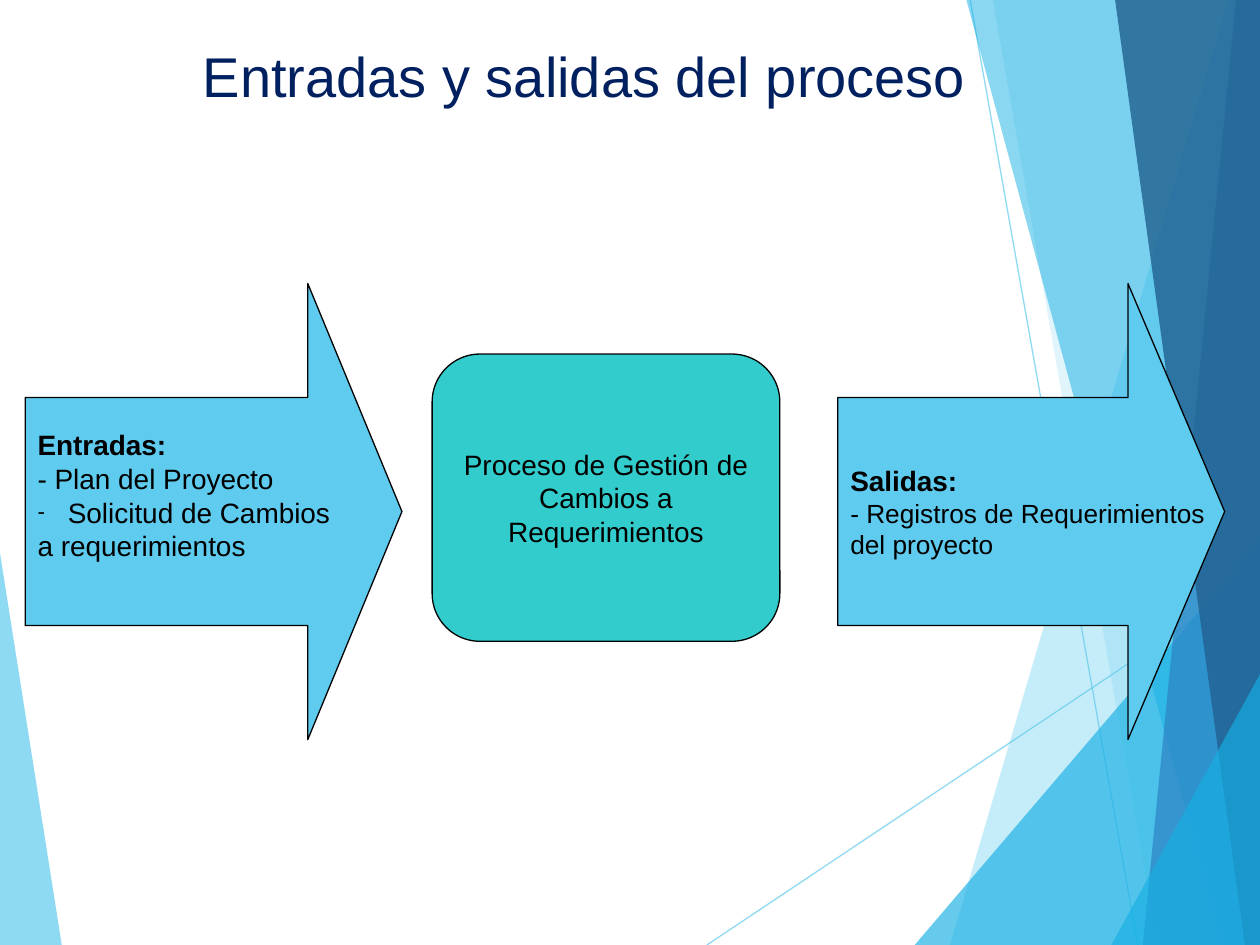
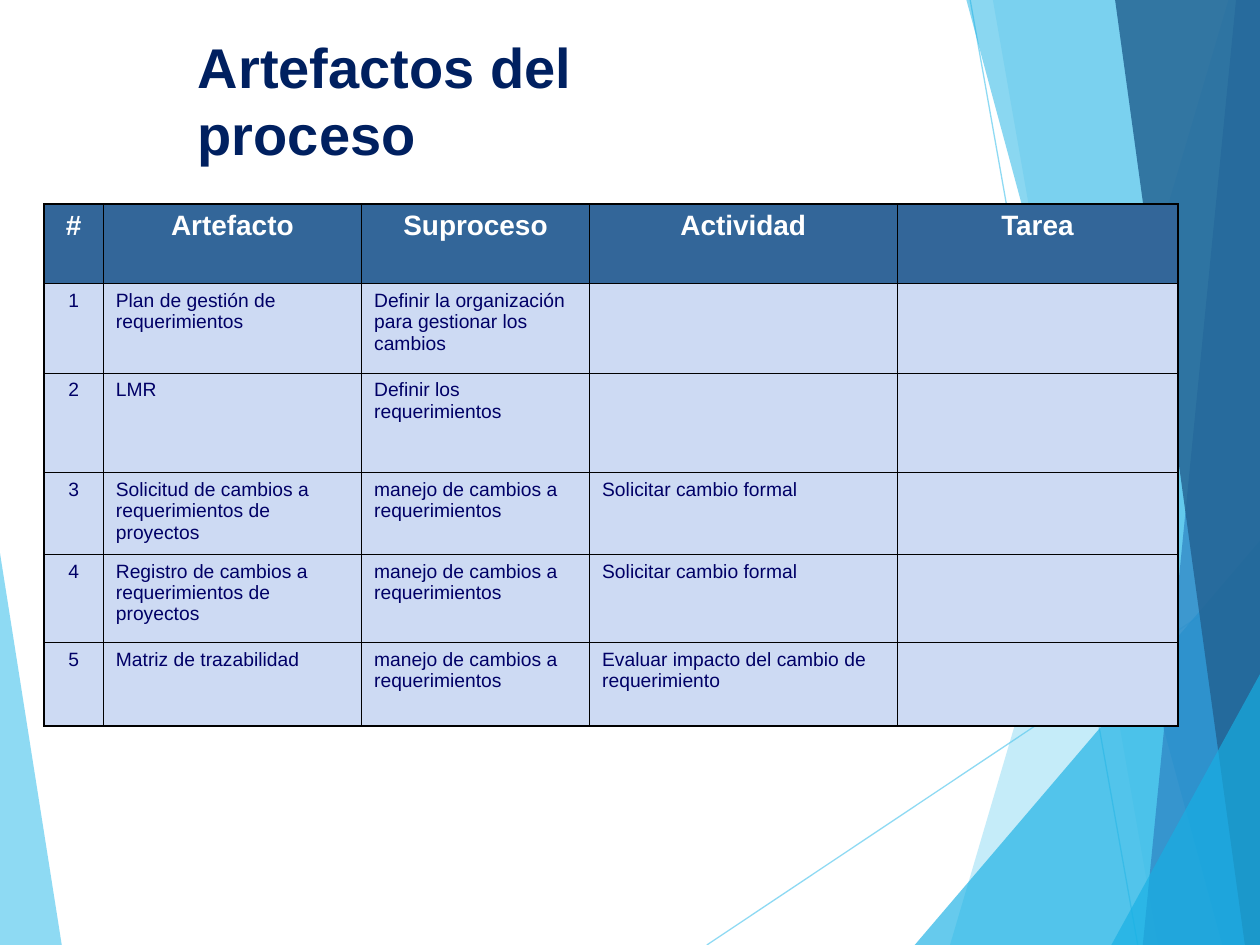
import lxml.etree
import pptx
import pptx.dml.color
import pptx.enum.shapes
import pptx.enum.text
import pptx.oxml.ns
import pptx.util

Inches = pptx.util.Inches
Pt = pptx.util.Pt
RGBColor = pptx.dml.color.RGBColor
Shape = pptx.enum.shapes.MSO_SHAPE
Align = pptx.enum.text.PP_ALIGN
Anchor = pptx.enum.text.MSO_ANCHOR
qn = pptx.oxml.ns.qn

FONT = "Arial"
BLACK = RGBColor(0x00, 0x00, 0x00)
WHITE = RGBColor(0xFF, 0xFF, 0xFF)
TITLE_NAVY = RGBColor(0x00, 0x20, 0x60)
SKY = RGBColor(0x5F, 0xCB, 0xEF)
CYAN = RGBColor(0x17, 0xB0, 0xE4)
BLUE = RGBColor(0x2E, 0x83, 0xC3)
DEEP_BLUE = RGBColor(0x23, 0x62, 0x92)
TURQUOISE = RGBColor(0x33, 0xCC, 0xCC)
HEADER_BLUE = RGBColor(0x33, 0x66, 0x99)
CELL_BLUE = RGBColor(0xCD, 0xDA, 0xF3)
CELL_NAVY = RGBColor(0x00, 0x00, 0x66)

RAYS = [((5.61, 7.5), (10, 4.57)), ((7.7, 0), (9.03, 7.5))]
# Colour, opacity in percent, corner points
FACETS = [
    (SKY, 70, [(0, 4.39), (0.49, 7.5), (0, 7.5)]),
    (SKY, 36, [(9.75, 0), (7.54, 7.5), (10, 7.5), (10, 0)]),
    (SKY, 20, [(7.88, 0), (9.19, 7.5), (10, 7.5), (10, 0)]),
    (CYAN, 66, [(7.26, 7.5), (10, 4.29), (10, 7.5)]),
    (CYAN, 50, [(7.67, 0), (9.7, 7.5), (10, 7.5), (10, 0)]),
    (BLUE, 70, [(9.81, 0), (9.07, 7.5), (10, 7.5), (10, 0)]),
    (DEEP_BLUE, 82, [(8.85, 0), (9.88, 7.5), (10, 7.5), (10, 0)]),
    (CYAN, 66, [(8.82, 7.5), (10, 5.35), (10, 7.5)]),
]

COLUMN_WIDTHS = [0.47, 2.05, 1.81, 2.44, 2.23]
ROW_HEIGHTS = [0.63, 0.71, 0.79, 0.65, 0.7, 0.66]
ARTIFACT_ROWS = [
    ["#", "Artefacto", "Suproceso", "Actividad", "Tarea"],
    ["1", "Plan de gestión de requerimientos",
     "Definir la organización para gestionar los cambios", "", ""],
    ["2", "LMR", "Definir los requerimientos", "", ""],
    ["3", "Solicitud de cambios a requerimientos de proyectos",
     "manejo de cambios a requerimientos", "Solicitar cambio formal", ""],
    ["4", "Registro de cambios a requerimientos de proyectos",
     "manejo de cambios a requerimientos", "Solicitar cambio formal", ""],
    ["5", "Matriz de trazabilidad", "manejo de cambios a requerimientos",
     "Evaluar impacto del cambio de requerimiento", ""],
]


def write_text(frame, text, size=16, color=BLACK, bold=False, align=Align.LEFT, bullet=None):
    """Fill the frame's empty first paragraph, or append a new one."""
    paragraph = frame.paragraphs[0] if not frame.text else frame.add_paragraph()
    paragraph.alignment = align
    if bullet:
        add_bullet(paragraph, bullet)
    run = paragraph.add_run()
    run.text = text
    run.font.name = FONT
    run.font.size = Pt(size)
    run.font.bold = bold
    run.font.color.rgb = color


def add_bullet(paragraph, character):
    properties = paragraph._p.get_or_add_pPr()
    properties.set("marL", str(Inches(0.24)))
    properties.set("indent", str(-Inches(0.24)))
    lxml.etree.SubElement(properties, qn("a:buSzPct"), val="80000")
    lxml.etree.SubElement(properties, qn("a:buFont"), typeface=FONT)
    lxml.etree.SubElement(properties, qn("a:buChar"), char=character)


def set_opacity(shape, percent):
    for color in shape.element.spPr.iter(qn("a:srgbClr")):
        lxml.etree.SubElement(color, qn("a:alpha"), val=str(percent * 1000))


def add_facet(shapes, color, opacity, points):
    corners = [(Inches(x), Inches(y)) for x, y in points]
    builder = shapes.build_freeform(*corners[0])
    builder.add_line_segments(corners[1:], close=True)
    facet = builder.convert_to_shape()
    facet.shadow.inherit = False
    facet.fill.solid()
    facet.fill.fore_color.rgb = color
    facet.line.fill.background()
    set_opacity(facet, opacity)


def add_ray(shapes, start, end):
    ray = shapes.add_connector(
        pptx.enum.shapes.MSO_CONNECTOR.STRAIGHT, *map(Inches, start + end))
    ray.line.color.rgb = SKY
    ray.line.width = Pt(0.75)
    set_opacity(ray, 70)
    lxml.etree.SubElement(ray.element.spPr, qn("a:effectLst"))


def add_master_facets(presentation, slide):
    """Draw the facets on a slide, then move them to the master behind all else."""
    group = slide.shapes.add_group_shape()
    add_facet(group.shapes, *FACETS[0])
    for start, end in RAYS:
        add_ray(group.shapes, start, end)
    for facet in FACETS[1:]:
        add_facet(group.shapes, *facet)
    for number, properties in enumerate(group.element.iter(qn("p:cNvPr")), start=100):
        properties.set("id", str(number))
    presentation.slide_master.shapes.element.insert(2, group.element)


def place(shape, left, top, width, height):
    shape.left, shape.top = Inches(left), Inches(top)
    shape.width, shape.height = Inches(width), Inches(height)


def add_titled_slide(presentation, title, box, bold=False):
    slide = presentation.slides.add_slide(presentation.slide_layouts.get_by_name("Title Only"))
    place(slide.shapes.title, *box)
    frame = slide.shapes.title.text_frame
    frame.auto_size = pptx.enum.text.MSO_AUTO_SIZE.NONE
    frame.vertical_anchor = Anchor.TOP
    write_text(frame, title, size=32, color=TITLE_NAVY, bold=bold)
    return slide


def add_block(slide, preset, box, color, wrap):
    """Add an outlined shape and return it with its text frame centred vertically."""
    block = slide.shapes.add_shape(preset, *map(Inches, box))
    block.shadow.inherit = False
    block.fill.solid()
    block.fill.fore_color.rgb = color
    block.line.color.rgb = BLACK
    block.line.width = Pt(0.75)
    block.text_frame.word_wrap = wrap
    block.text_frame.vertical_anchor = Anchor.MIDDLE
    return block


def add_flow_arrow(slide, box, heading, items, size=16):
    """Add a block arrow; each item is a text and its bullet, or None."""
    arrow = add_block(slide, Shape.RIGHT_ARROW, box, SKY, wrap=False)
    arrow.adjustments[0], arrow.adjustments[1] = 0.5, 0.25
    write_text(arrow.text_frame, heading, bold=True)
    for text, bullet in items:
        write_text(arrow.text_frame, text, size=size, bullet=bullet)
    return arrow


def build_flow_slide(slide):
    inputs = add_flow_arrow(
        slide, (0.2, 2.25, 2.99, 3.62), "Entradas:",
        [("- Plan del Proyecto", None), ("Solicitud de Cambios", "-"),
         ("a requerimientos", None)])
    inputs.text_frame.margin_bottom = Inches(0.31)
    process = add_block(
        slide, Shape.ROUNDED_RECTANGLE, (3.43, 2.81, 2.76, 2.28), TURQUOISE, wrap=True)
    write_text(process.text_frame, "Proceso de Gestión de Cambios a Requerimientos",
               align=Align.CENTER)
    add_flow_arrow(
        slide, (6.65, 2.25, 3.07, 3.62), "Salidas:",
        [("- Registros de Requerimientos", None), ("del proyecto", None)], size=15)


def set_borders(cell, outer_sides):
    """Give the cell black borders, thicker on the table's outer sides."""
    properties = cell._tc.get_or_add_tcPr()
    for side in "LRTB":
        width = Pt(1.08) if side in outer_sides else Pt(0.45)
        line = lxml.etree.SubElement(properties, qn("a:ln" + side), w=str(width))
        fill = lxml.etree.SubElement(line, qn("a:solidFill"))
        lxml.etree.SubElement(fill, qn("a:srgbClr"), val=str(BLACK))


def add_artifact_table(slide, left, top):
    row_count, column_count = len(ROW_HEIGHTS), len(COLUMN_WIDTHS)
    table = slide.shapes.add_table(
        row_count, column_count, Inches(left), Inches(top),
        Inches(sum(COLUMN_WIDTHS)), Inches(sum(ROW_HEIGHTS))).table
    table.horz_banding = False
    for column, width in zip(table.columns, COLUMN_WIDTHS):
        column.width = Inches(width)
    for row, height in zip(table.rows, ROW_HEIGHTS):
        row.height = Inches(height)
    for row_index, texts in enumerate(ARTIFACT_ROWS):
        header = row_index == 0
        for column_index, text in enumerate(texts):
            cell = table.cell(row_index, column_index)
            outer = {"L": column_index == 0, "R": column_index == column_count - 1,
                     "T": header, "B": row_index == row_count - 1}
            set_borders(cell, [side for side in outer if outer[side]])
            cell.fill.solid()
            cell.fill.fore_color.rgb = HEADER_BLUE if header else CELL_BLUE
            if text:
                write_text(cell.text_frame, text, size=16 if header else 11,
                           color=WHITE if header else CELL_NAVY, bold=header,
                           align=Align.CENTER if header or column_index == 0 else Align.LEFT)


def main():
    presentation = pptx.Presentation()
    presentation.slide_width, presentation.slide_height = Inches(10), Inches(7.5)
    flow_slide = add_titled_slide(
        presentation, "Entradas y salidas del proceso", (1.51, 0.28, 6.8, 0.64))
    add_master_facets(presentation, flow_slide)
    build_flow_slide(flow_slide)
    artifact_slide = add_titled_slide(
        presentation, "Artefactos del proceso", (1.47, 0.21, 5.02, 0.64), bold=True)
    add_artifact_table(artifact_slide, 0.35, 1.62)
    presentation.save("out.pptx")


if __name__ == "__main__":
    main()
